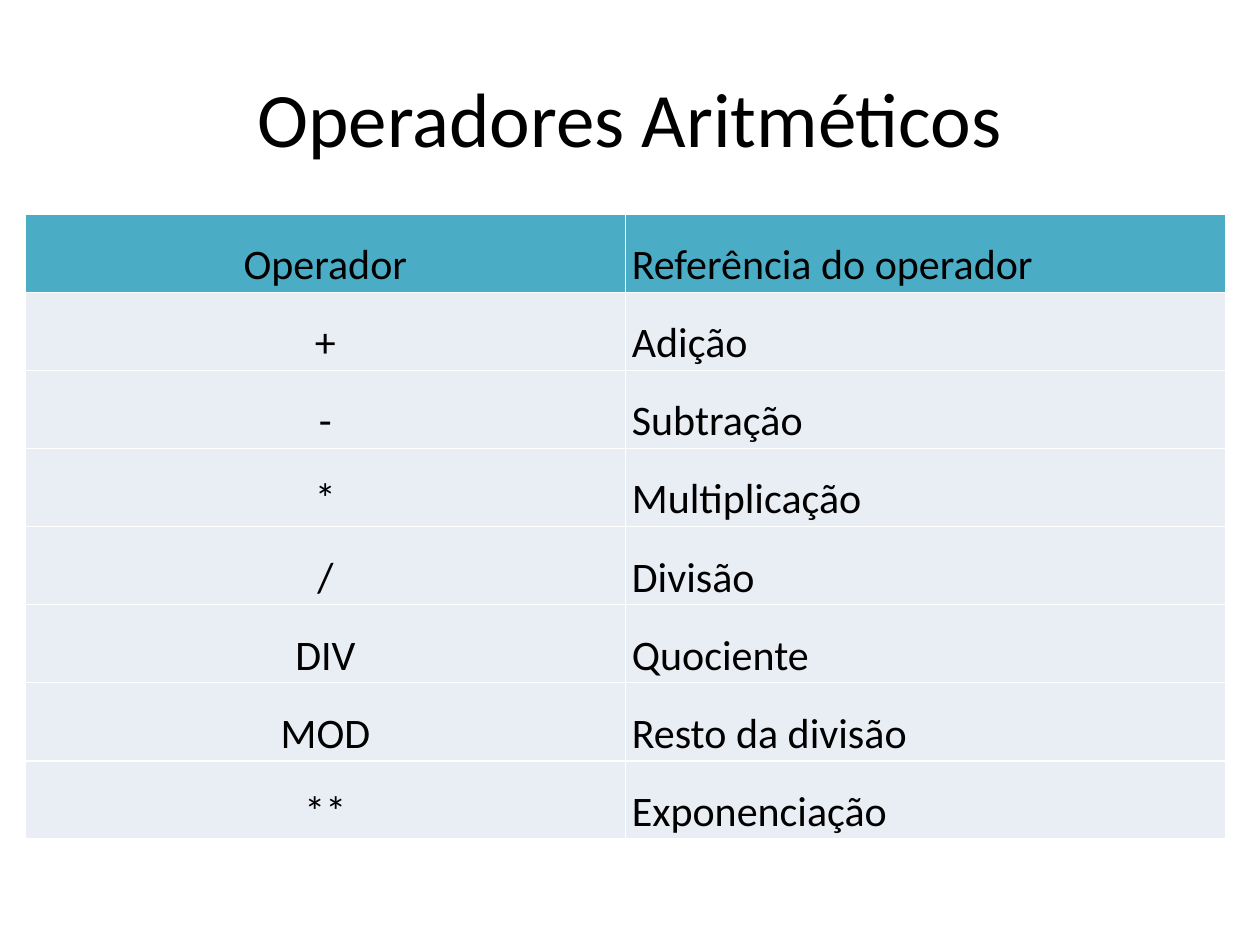
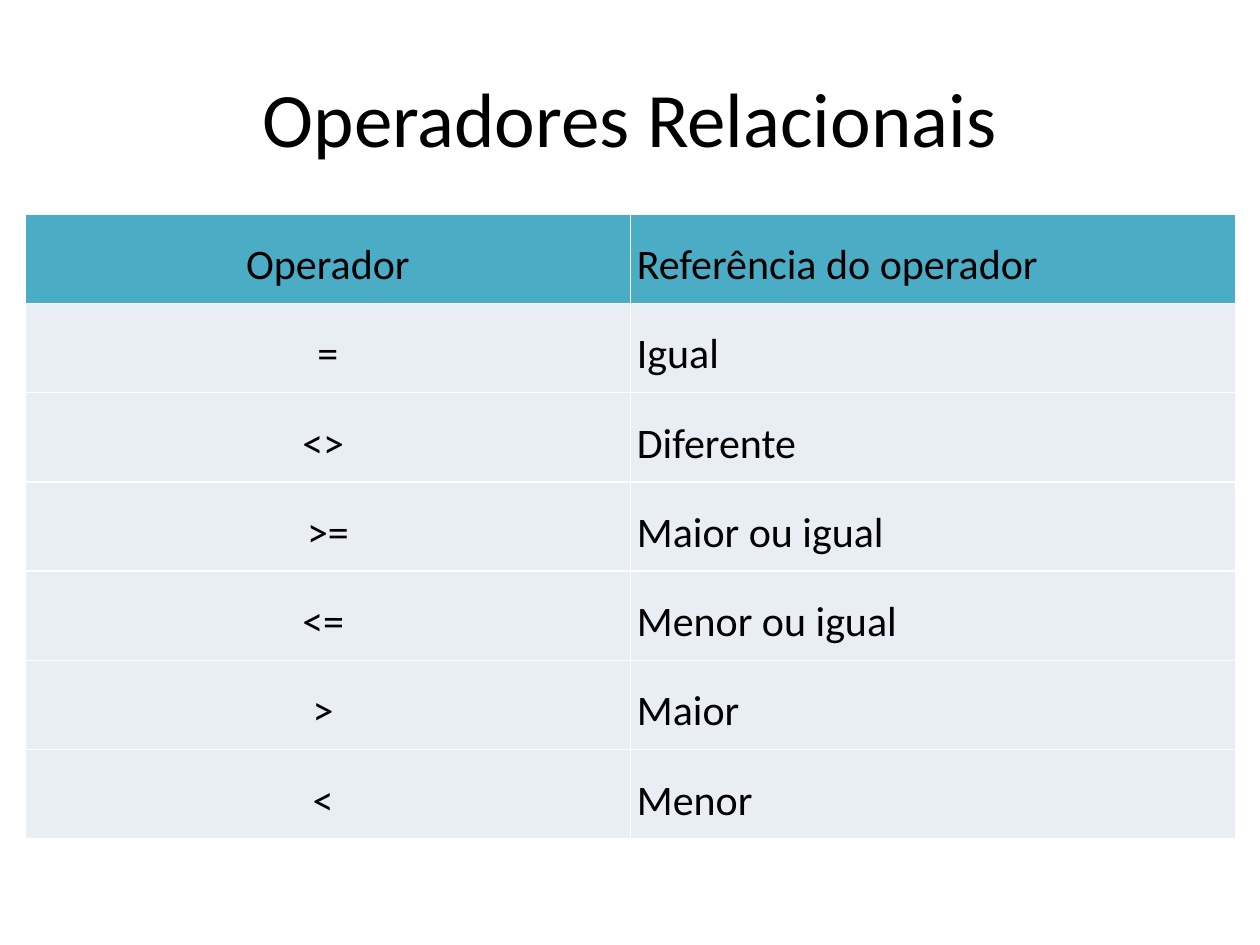
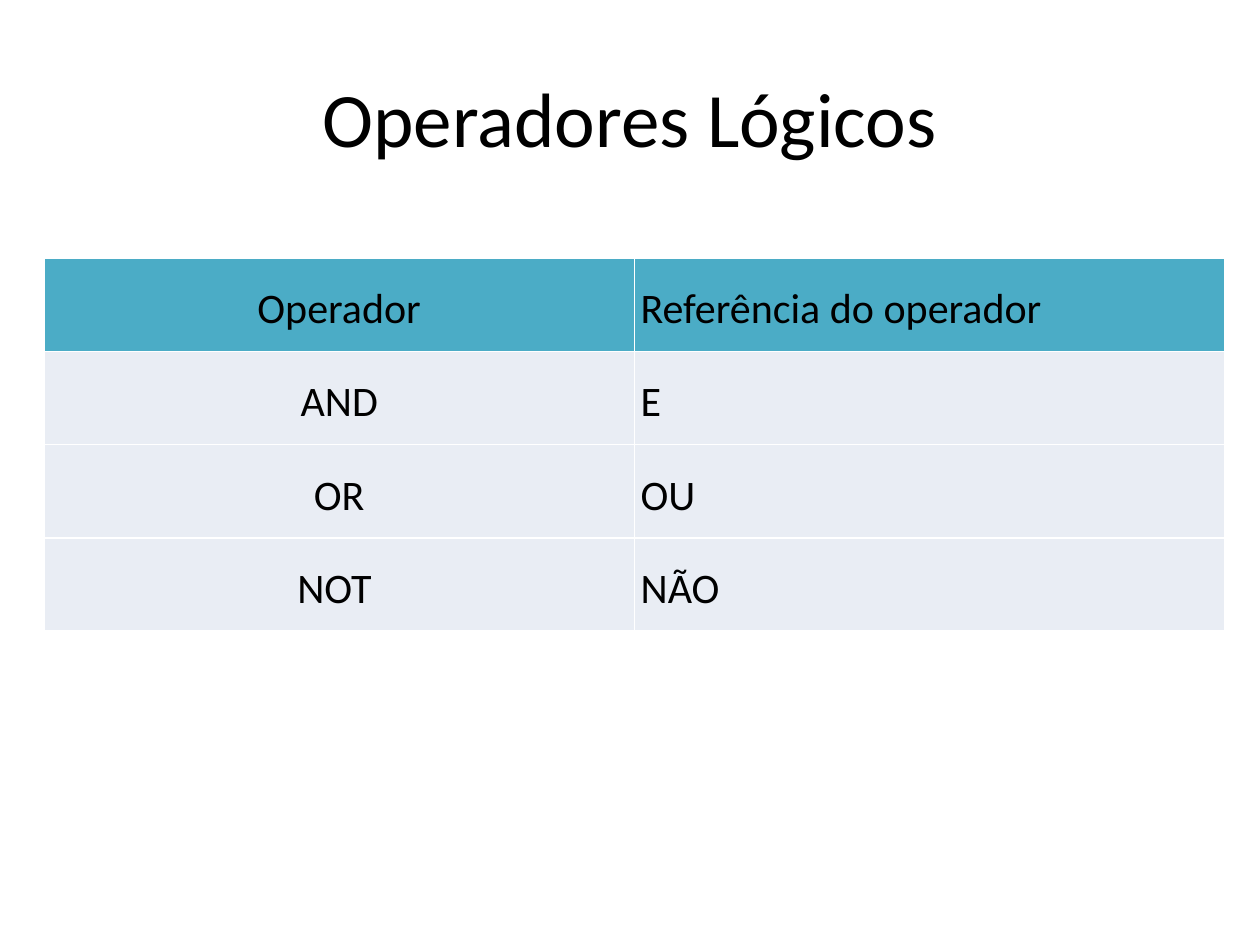
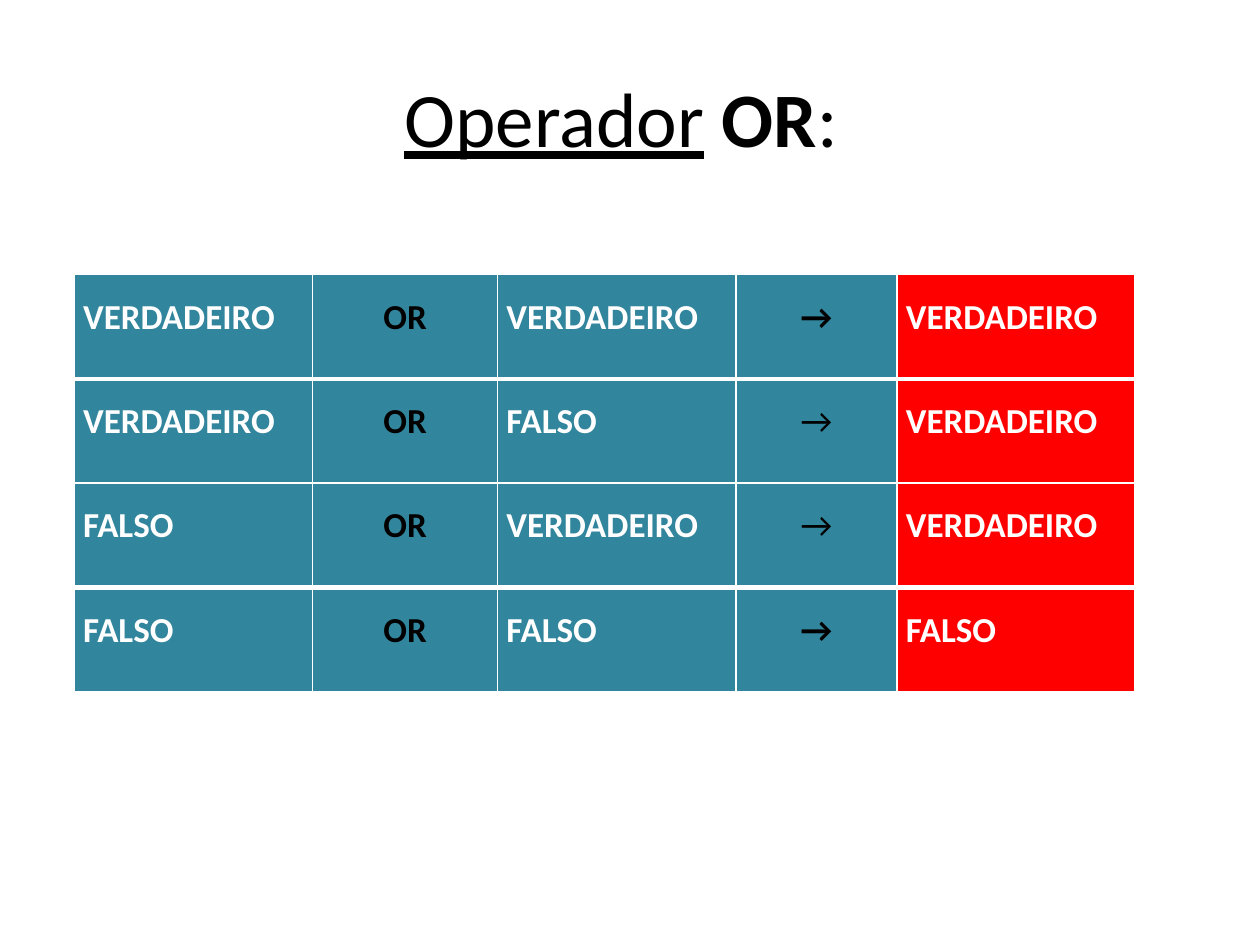
from dataclasses import dataclass

from lxml import etree
from pptx import Presentation
from pptx import util as u
from pptx.dml.color import RGBColor
from pptx.enum import text
from pptx.oxml import ns

# Shared look
FONT = "Calibri"
BLACK, WHITE = "000000", "FFFFFF"
HEADER, BODY, OPERAND, RESULT = "4BACC6", "E9EDF4", "31859C", "FF0000"
LEFT, CENTER, JUSTIFY = text.PP_ALIGN.LEFT, text.PP_ALIGN.CENTER, text.PP_ALIGN.JUSTIFY
LINE_SPACING = 1.5
THIN, THICK = 1, 3

# The slide is a grid of 200 columns and 150 rows
SLIDE_WIDTH, SLIDE_HEIGHT = u.Inches(10), u.Inches(7.5)
COLUMN, ROW = SLIDE_WIDTH / 200, SLIDE_HEIGHT / 150


@dataclass(frozen=True)
class Area:
    """A place on the slide, in grid columns and rows."""
    left: float
    top: float
    width: float
    height: float

    def lengths(self) -> tuple[int, int, int, int]:
        return (round(self.left * COLUMN), round(self.top * ROW),
                round(self.width * COLUMN), round(self.height * ROW))


@dataclass(frozen=True)
class Run:
    words: str
    bold: bool = False
    underline: bool = False


@dataclass(frozen=True)
class CellStyle:
    fill: str
    align: text.PP_ALIGN
    color: str = BLACK
    size: int = 24
    bold: bool = False
    margin: float = 1  # grid columns


@dataclass(frozen=True)
class OperatorSlide:
    title: str
    area: Area
    meanings: list[tuple[str, str]]


TITLE_AREA = Area(10, 6, 180, 25)

OPERATOR_SLIDES = [
    OperatorSlide("Operadores Aritméticos", Area(4, 34, 190.6, 99.2), [
        ("+", "Adição"),
        ("-", "Subtração"),
        ("*", "Multiplicação"),
        ("/", "Divisão"),
        ("DIV", "Quociente"),
        ("MOD", "Resto da divisão "),
        ("**", "Exponenciação "),
    ]),
    OperatorSlide("Operadores Relacionais", Area(4, 34, 192.2, 99.2), [
        ("=", "Igual"),
        ("<> ", "Diferente"),
        (">=", "Maior ou igual"),
        ("<= ", "Menor ou igual"),
        ("> ", "Maior "),
        ("< ", "Menor"),
    ]),
    OperatorSlide("Operadores Lógicos", Area(7, 41, 187.4, 59.2), [
        ("AND", "E"),
        ("OR", "OU"),
        ("NOT ", "NÃO"),
    ]),
]

# Truth table of OR
TRUTH_AREA = Area(11.8, 43.6, 168.4, 66.2)
TRUTH_WIDTHS = [1.89, 1.47, 1.89, 1.28, 1.89]
TRUTH_INPUTS = [(True, True), (True, False), (False, True), (False, False)]
ROWS_WITH_LIGHT_ARROW = (1, 2)
THICK_RULES = (1, 3)  # rules below the first and the third row


def rgb(color: str) -> RGBColor:
    return RGBColor.from_string(color)


def write(paragraph, words: str, *, size: int, color: str = BLACK,
          bold: bool = False, underline: bool = False) -> None:
    run = paragraph.add_run()
    run.text = words
    font = run.font
    font.name, font.size = FONT, u.Pt(size)
    font.bold, font.underline = bold, underline
    font.color.rgb = rgb(color)


def add_title(slide, runs: list[Run]) -> None:
    frame = slide.shapes.add_textbox(*TITLE_AREA.lengths()).text_frame
    frame.word_wrap = True
    frame.vertical_anchor = text.MSO_ANCHOR.MIDDLE
    heading = frame.paragraphs[0]
    heading.alignment = CENTER
    for run in runs:
        write(heading, run.words, size=44, bold=run.bold, underline=run.underline)


def add_borders(cell, top: int, bottom: int) -> None:
    properties = cell._tc.get_or_add_tcPr()
    for side, width in (("L", THIN), ("R", THIN), ("T", top), ("B", bottom)):
        line = etree.SubElement(properties, ns.qn(f"a:ln{side}"), w=str(u.Pt(width)))
        fill = etree.SubElement(line, ns.qn("a:solidFill"))
        etree.SubElement(fill, ns.qn("a:srgbClr"), val=WHITE)


def fill_cell(cell, words: str, style: CellStyle, top: int, bottom: int) -> None:
    add_borders(cell, top, bottom)
    cell.fill.solid()
    cell.fill.fore_color.rgb = rgb(style.fill)
    cell.margin_left = cell.margin_right = round(style.margin * COLUMN)
    cell.margin_top = cell.margin_bottom = 0
    paragraph = cell.text_frame.paragraphs[0]
    paragraph.alignment = style.align
    paragraph.line_spacing = LINE_SPACING
    write(paragraph, words, size=style.size, color=style.color, bold=style.bold)


def add_grid(slide, area: Area, widths: list[float],
             rows: list[list[tuple[str, CellStyle]]],
             thick_rules: tuple[int, ...] = ()) -> None:
    left, top, width, height = area.lengths()
    table = slide.shapes.add_table(len(rows), len(widths), left, top, width, height).table
    for column, share in zip(table.columns, widths):
        column.width = round(width * share / sum(widths))
    rules = [THICK if i in thick_rules else THIN for i in range(len(rows) + 1)]
    for i, row in enumerate(rows):
        table.rows[i].height = round(height / len(rows))
        for j, (words, style) in enumerate(row):
            fill_cell(table.cell(i, j), words, style, rules[i], rules[i + 1])


def operator_rows(meanings: list[tuple[str, str]]) -> list[list[tuple[str, CellStyle]]]:
    rows = []
    for i, (operator, meaning) in enumerate([("Operador", "Referência do operador"), *meanings]):
        fill = BODY if i else HEADER
        rows.append([(operator, CellStyle(fill, CENTER)), (meaning, CellStyle(fill, JUSTIFY))])
    return rows


def truth_rows() -> list[list[tuple[str, CellStyle]]]:
    def sign(bold: bool = True) -> CellStyle:
        return CellStyle(OPERAND, CENTER, size=20, bold=bold, margin=1.4)

    def truth(value: bool, fill: str = OPERAND) -> tuple[str, CellStyle]:
        return ("VERDADEIRO" if value else "FALSO",
                CellStyle(fill, LEFT, WHITE, size=20, bold=True, margin=1.4))

    return [[truth(first), ("OR", sign()), truth(second),
             ("→", sign(i not in ROWS_WITH_LIGHT_ARROW)), truth(first or second, RESULT)]
            for i, (first, second) in enumerate(TRUTH_INPUTS)]


def main() -> None:
    deck = Presentation()
    deck.slide_width, deck.slide_height = SLIDE_WIDTH, SLIDE_HEIGHT
    blank = deck.slide_layouts[6]

    # Operators and their meanings
    for content in OPERATOR_SLIDES:
        slide = deck.slides.add_slide(blank)
        add_title(slide, [Run(content.title)])
        add_grid(slide, content.area, [1, 1], operator_rows(content.meanings))

    # Truth table
    slide = deck.slides.add_slide(blank)
    add_title(slide, [Run("Operador", underline=True), Run(" "), Run("OR", bold=True), Run(": ")])
    add_grid(slide, TRUTH_AREA, TRUTH_WIDTHS, truth_rows(), THICK_RULES)

    deck.save("out.pptx")


if __name__ == "__main__":
    main()
